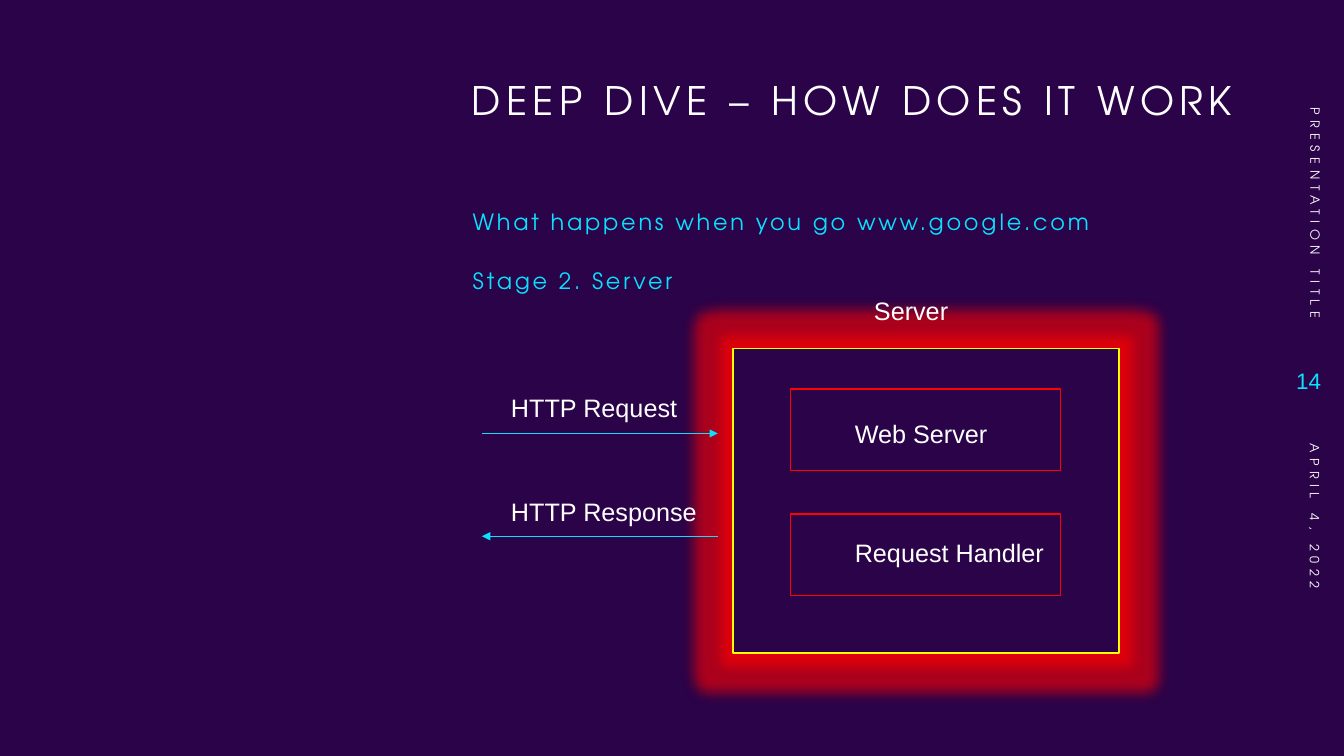
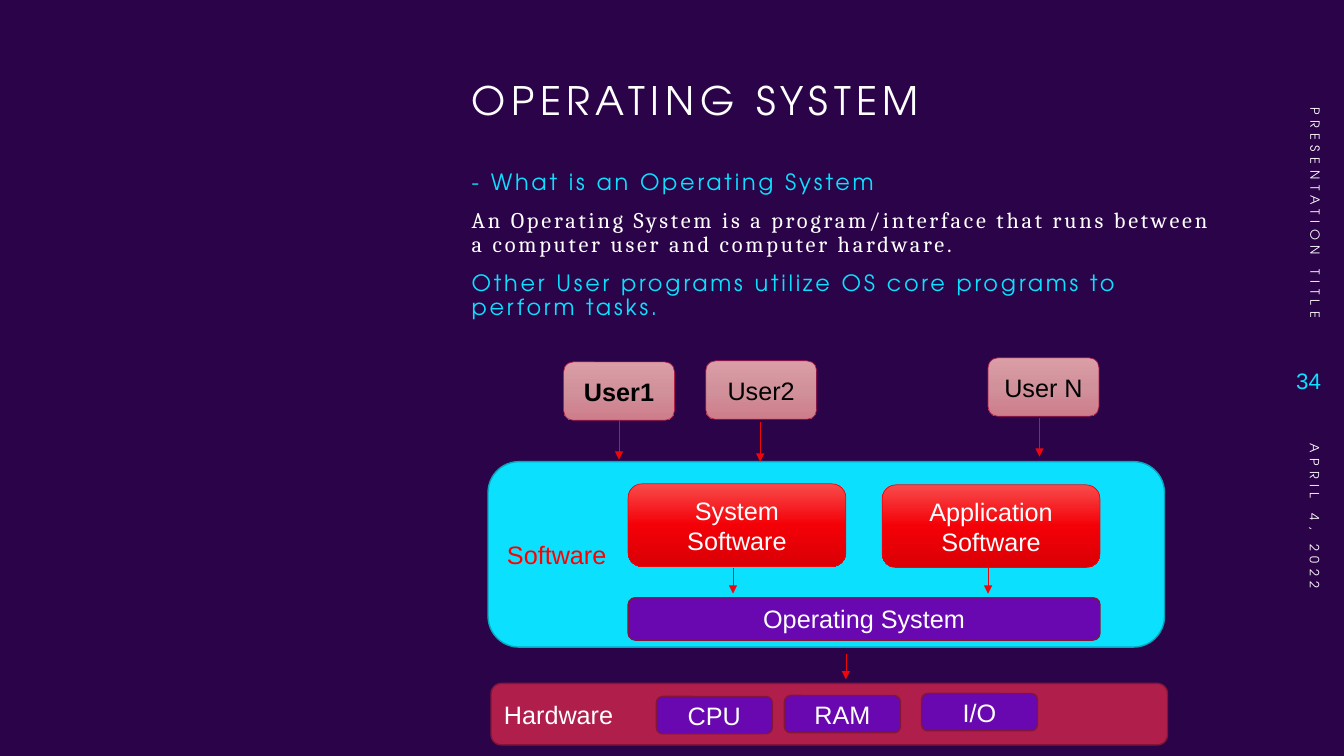
from copy import deepcopy

from lxml import etree
from pptx import Presentation
from pptx.dml.color import RGBColor
from pptx.enum.shapes import MSO_CONNECTOR, MSO_SHAPE
from pptx.enum.text import MSO_ANCHOR, PP_ALIGN
from pptx.oxml.ns import qn
from pptx.util import Inches, Pt

RECT, ROUND = MSO_SHAPE.RECTANGLE, MSO_SHAPE.ROUNDED_RECTANGLE
LEFT, CENTER, RIGHT = PP_ALIGN.LEFT, PP_ALIGN.CENTER, PP_ALIGN.RIGHT
TOP, MIDDLE = MSO_ANCHOR.TOP, MSO_ANCHOR.MIDDLE

COLORS = {
    "background": "2B0348",
    "white": "FFFFFF",
    "black": "000000",
    "cyan": "0BE1FF",
    "teal": "08A6BD",
    "yellow": "FFFF00",
    "red": "FF0000",
    "arrow red": "EF050C",
    "crimson": "B01E4C",
    "dark crimson": "821638",
    "purple": "6907B0",
    "pink top": "DB9EA7",
    "pink middle": "D0919B",
    "pink bottom": "CE7D8A",
    "red top": "F84B4B",
    "red middle": "F40007",
    "red bottom": "D90006",
}
RGB = {name: RGBColor.from_string(value) for name, value in COLORS.items()}
PINK = ("pink top", "pink middle", "pink bottom")
REDS = ("red top", "red middle", "red bottom")

DISPLAY = "TeX Gyre Adventor"
TITLE = {"size": 28, "font": DISPLAY, "spacing": 4, "line_spacing": 0.9}
BODY = {"color": "cyan", "size": 16, "font": DISPLAY, "spacing": 2,
        "line_spacing": 0.9}
FOOTER = {"size": 9, "font": DISPLAY, "spacing": 4, "anchor": MIDDLE}


def add_box(s, at, shape=None, fill=None, line=None, width=1):
    """Add a shape, or a text box if no shape is given; three fill colours make a gradient."""
    at = [Inches(v) for v in at]
    if shape is None:
        return s.shapes.add_textbox(*at)
    sp = s.shapes.add_shape(shape, *at)
    sp.shadow.inherit = False
    sp.line.color.rgb = RGB[line]
    sp.line.width = Pt(width)
    if fill is None:
        sp.fill.background()
    elif isinstance(fill, tuple):
        sp.fill.gradient()
        sp.fill.gradient_angle = 270
        stops = sp._element.spPr.find(".//" + qn("a:gsLst"))
        stops.insert(1, deepcopy(stops[0]))
        for i, stop in enumerate(sp.fill.gradient_stops):
            stop.position = i / 2
            stop.color.rgb = RGB[fill[i]]
    else:
        sp.fill.solid()
        sp.fill.fore_color.rgb = RGB[fill]
    return sp


def write(sp, text, color="white", size=18, font="Arial", spacing=0,
          align=LEFT, anchor=TOP, line_spacing=1.0):
    tf = sp.text_frame
    tf.word_wrap = True
    tf.vertical_anchor = anchor
    tf.text = text
    for i, p in enumerate(tf.paragraphs):
        p.alignment = align
        p.line_spacing = line_spacing
        p.space_before = Pt(10 if i else 0)
        for r in p.runs:
            r.font.size = Pt(size)
            r.font.name = font
            r.font.color.rgb = RGB[color]
            if spacing:
                r._r.get_or_add_rPr().set("spc", str(spacing * 100))
    return tf


prs = Presentation()
prs.slide_width = Inches(13.33)
prs.slide_height = Inches(7.5)
background = prs.slide_master.background.fill
background.solid()
background.fore_color.rgb = RGB["background"]

# Title and side band of each slide
slides = []
for title, number in [("DEEP DIVE – HOW DOES IT WORK", "14"),
                      ("OPERATING SYSTEM", "34")]:
    s = prs.slides.add_slide(prs.slide_layouts[6])
    slides.append(s)
    write(add_box(s, (4.58, 0.76, 8.11, 0.73)), title, **TITLE)
    write(add_box(s, (12.6, 3.46, 0.6, 0.63)), number, "cyan", 16,
          align=RIGHT, anchor=MIDDLE)
    for at, text, align in [
        ((11.53, 1.54, 3.03, 0.4), "PRESENTATION TITLE", RIGHT),
        ((11.59, 5.55, 2.9, 0.4), "APRIL 4, 2022", LEFT),
    ]:
        sp = add_box(s, at)
        sp.rotation = 90
        write(sp, text, align=align, **FOOTER)
server_slide, os_slide = slides

# Server slide
s = server_slide
for y, text in [(2.05, "What happens when you go www.google.com"),
                (2.63, "Stage 2. Server")]:
    write(add_box(s, (4.59, y, 7.58, 0.4)), text, **BODY)

server = add_box(s, (7.27, 3.46, 3.83, 3.02), RECT, "background", "yellow")
effects = server._element.spPr.find(qn("a:effectLst"))
glow = etree.SubElement(effects, qn("a:glow"), rad=str(Pt(18)))
glow_color = etree.SubElement(glow, qn("a:srgbClr"), val=COLORS["red"])
etree.SubElement(glow_color, qn("a:alpha"), val="60000")

for y in (3.86, 5.1):
    add_box(s, (7.84, y, 2.68, 0.81), RECT, line="red")
for x, y, text in [
    (8.57, 2.88, "Server"),
    (8.38, 4.1, "Web Server"),
    (8.38, 5.28, "Request Handler"),
    (4.97, 3.84, "HTTP Request"),
    (4.97, 4.87, "HTTP Response"),
]:
    write(add_box(s, (x, y, 2.8, 0.4)), text)

# Operating system slide
s = os_slide
tf = write(add_box(s, (4.58, 1.65, 7.62, 2.19)), "\n".join([
    "- What is an Operating System",
    "An Operating System is a program/interface that runs between "
    "a computer user and computer hardware.",
    "Other User programs utilize OS core programs to perform tasks.",
]), **BODY)
definition = tf.paragraphs[1].runs[0].font
definition.name = "Cambria"
definition.color.rgb = RGB["white"]

for y, height, text, fill, line, color in [
    (4.58, 1.84, "Software", "cyan", "teal", "red"),
    (6.78, 0.61, "Hardware", "crimson", "dark crimson", "white"),
]:
    x = 4.84 if text == "Software" else 4.87
    sp = add_box(s, (x, y, 6.71, height), ROUND, fill, line)
    write(sp, text, color, anchor=MIDDLE)

for x, y, text in [(5.59, 3.59, "User1"), (7, 3.58, "User2"),
                   (9.8, 3.55, "User N")]:
    sp = add_box(s, (x, y, 1.1, 0.58), ROUND, PINK, "crimson", 0.5)
    tf = write(sp, text, "black", align=CENTER, anchor=MIDDLE)
    if text == "User1":
        tf.paragraphs[0].runs[0].font.bold = True

for x, y, text in [(6.23, 4.8, "System Software"),
                   (8.75, 4.81, "Application Software")]:
    sp = add_box(s, (x, y, 2.16, 0.82), ROUND, REDS, "arrow red", 0.5)
    write(sp, text, align=CENTER, anchor=MIDDLE)

for at, text in [
    ((6.23, 5.93, 4.68, 0.42), "Operating System"),
    ((6.51, 6.91, 1.15, 0.37), "CPU"),
    ((7.78, 6.9, 1.15, 0.37), "RAM"),
    ((9.14, 6.88, 1.15, 0.37), "I/O"),
]:
    sp = add_box(s, at, ROUND, "purple", "dark crimson")
    write(sp, text, align=CENTER, anchor=MIDDLE)

# Arrows of both slides
arrows = [
    (server_slide, "cyan", (4.78, 4.3, 7.12, 4.3)),
    (server_slide, "cyan", (7.12, 5.32, 4.78, 5.32)),
]
for x, top, bottom in [(6.14, 4.17, 4.56), (7.54, 4.19, 4.58),
                       (10.31, 4.15, 4.53), (7.27, 5.64, 5.89),
                       (9.8, 5.64, 5.89), (8.39, 6.49, 6.74)]:
    arrows.append((os_slide, "arrow red", (x, top, x, bottom)))
for s, color, ends in arrows:
    arrow = s.shapes.add_connector(MSO_CONNECTOR.STRAIGHT,
                                   *[Inches(v) for v in ends])
    arrow.line.color.rgb = RGB[color]
    arrow.line.width = Pt(0.5)
    etree.SubElement(arrow.line._get_or_add_ln(), qn("a:tailEnd"), type="triangle")
    etree.SubElement(arrow._element.spPr, qn("a:effectLst"))

prs.save("out.pptx")
